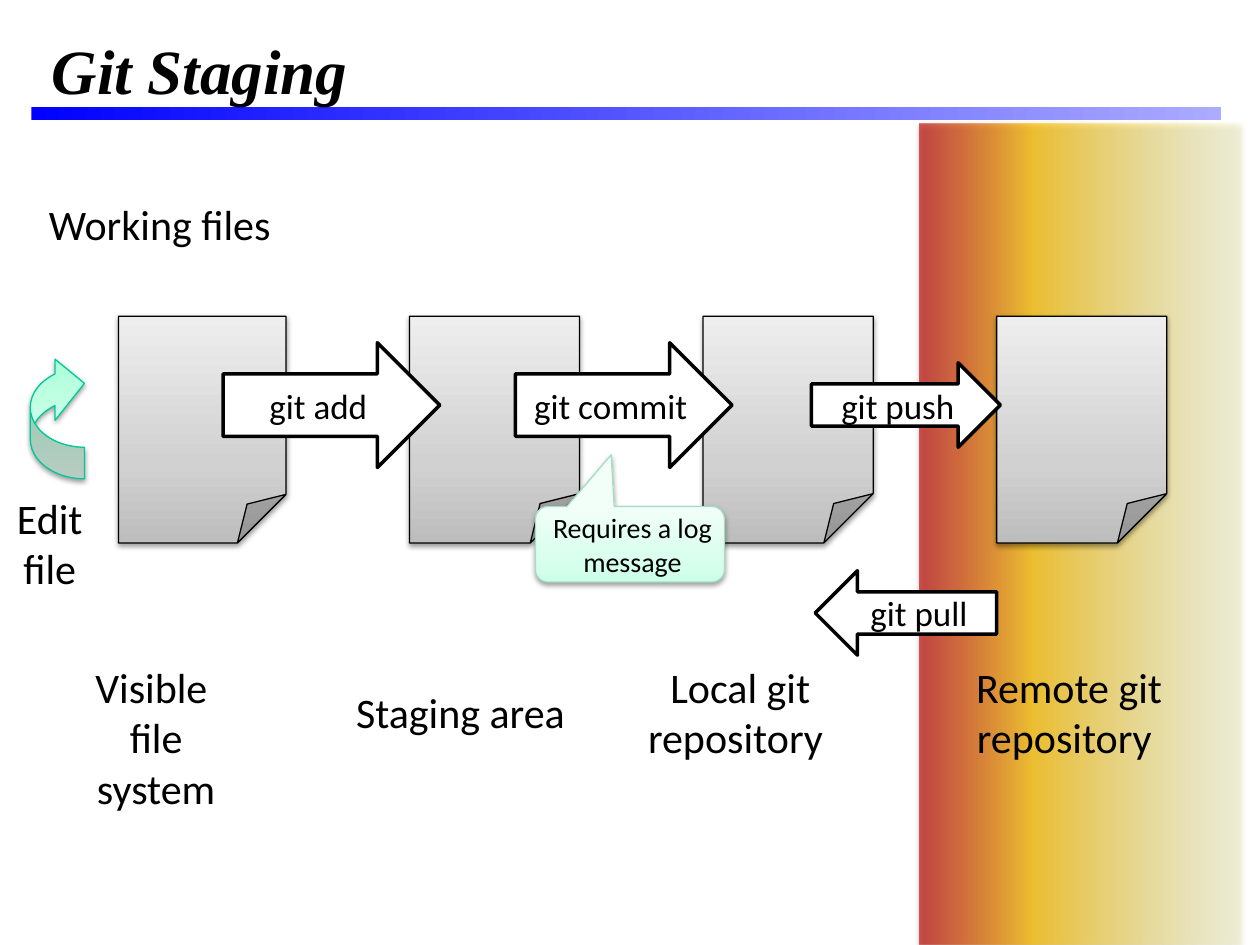
import pptx
import pptx.dml.color
import pptx.enum.shapes
import pptx.enum.text
import pptx.oxml
import pptx.oxml.ns
import pptx.util

Inches = pptx.util.Inches
KIND = pptx.enum.shapes.MSO_SHAPE
ALIGN = pptx.enum.text.PP_ALIGN
MIDDLE = pptx.enum.text.MSO_ANCHOR.MIDDLE
GROW = pptx.enum.text.MSO_AUTO_SIZE.SHAPE_TO_FIT_TEXT
SPACE = pptx.oxml.ns.nsdecls("a")
GRAY = [(0, "BDBDBD"), (35, "D1D1D1"), (100, "EEEEEE")]
MINT = [(0, "A5FFD6"), (35, "BFFFE2"), (100, "E7FFF3")]
PALE = [(0, "CCFFE8"), (35, "DAFFEE"), (100, "F1FFF8")]
TIGHT = {"margin_left": 0, "margin_right": 0, "margin_top": 0, "margin_bottom": 0,
         "vertical_anchor": MIDDLE, "word_wrap": True}


def tint(target, color):
    """Give a fill or font a solid colour from a hex string."""
    target.rgb = pptx.dml.color.RGBColor.from_string(color)


def apply(target, values):
    """Set each attribute named in a dict of format values."""
    for name, value in values.items():
        setattr(target, name, value)


def inside(box, x, y, w, h):
    """Return a box whose place is relative to the corner of another."""
    return box[0] + x, box[1] + y, w, h


def bend(shape, values):
    """Set the adjust values of a preset shape."""
    names = ["adj"] if len(values) == 1 else [f"adj{i + 1}" for i in range(len(values))]
    guides = "".join(f'<a:gd name="{name}" fmla="val {round(value * 100000)}"/>'
                     for name, value in zip(names, values))
    preset = shape._element.spPr.find(pptx.oxml.ns.qn("a:prstGeom"))
    for child in list(preset):
        preset.remove(child)
    preset.append(pptx.oxml.parse_xml(f"<a:avLst {SPACE}>{guides}</a:avLst>"))


def blend(shape, stops, angle):
    """Fill a shape with a linear gradient of (place, colour, opacity) stops."""
    marks = ""
    for place, color, *alpha in stops:
        clear = "".join(f'<a:alpha val="{a * 1000}"/>' for a in alpha)
        marks += f'<a:gs pos="{place * 1000}"><a:srgbClr val="{color}">{clear}</a:srgbClr></a:gs>'
    grad = pptx.oxml.parse_xml(
        f'<a:gradFill {SPACE} rotWithShape="1"><a:gsLst>{marks}</a:gsLst>'
        f'<a:lin ang="{angle * 60000}" scaled="0"/></a:gradFill>')
    shape._element.spPr.find(pptx.oxml.ns.qn("a:prstGeom")).addnext(grad)


def shade(shape):
    """Drop a soft shadow below a shape."""
    effect = shape._element.spPr.find(pptx.oxml.ns.qn("a:effectLst"))
    effect.append(pptx.oxml.parse_xml(
        f'<a:outerShdw {SPACE} blurRad="39400" dist="20300" dir="5400000" rotWithShape="0">'
        '<a:srgbClr val="000000"><a:alpha val="38000"/></a:srgbClr></a:outerShdw>'))


def form(slide, kind, box, fill, line=None, width=0.75, angle=270, adjust=(), shadow=True):
    """Add a preset shape with a solid or gradient fill."""
    shape = slide.shapes.add_shape(kind, *map(Inches, box))
    if adjust:
        bend(shape, adjust)
    if isinstance(fill, str):
        shape.fill.solid()
        tint(shape.fill.fore_color, fill)
    else:
        blend(shape, fill, angle)
    if line:
        tint(shape.line.color, line)
        shape.line.width = pptx.util.Pt(width)
    else:
        shape.line.fill.background()
    shape.shadow.inherit = False
    if shadow:
        shade(shape)
    return shape


def write(shape, text, frame, size, align=ALIGN.CENTER, face="Calibri", indent=0.04, **style):
    """Put one formatted paragraph in a shape."""
    body = shape.text_frame
    apply(body, frame)
    para = body.paragraphs[0]
    para.text = text
    para.alignment = align
    props = para._p.get_or_add_pPr()
    props.set("marL", str(Inches(indent)))
    props.set("indent", "0")
    for run in para.runs:
        apply(run.font, {"name": face, "size": pptx.util.Pt(size), **style})
        tint(run.font.color, "000000")


def label(slide, box, text, align=ALIGN.CENTER, **frame):
    """Add a caption in a text box."""
    shape = slide.shapes.add_textbox(*map(Inches, box))
    write(shape, text, {"word_wrap": True, "auto_size": GROW, **frame}, 24, align)


def head(slide, box):
    """Place the title above its blue rule."""
    rule = form(slide, KIND.RECTANGLE, inside(box, 0, 0.8, 9.44, 0.1),
                [(0, "0000FF"), (100, "ABABFF")], angle=0, shadow=False)
    title = slide.shapes.title
    rule._element.addnext(title._element)
    left, top, width, height = map(Inches, inside(box, 0.06, 0, 9.38, 1))
    apply(title, {"left": left, "top": top, "width": width, "height": height})
    write(title, "Git Staging", {"vertical_anchor": MIDDLE}, 36, ALIGN.LEFT,
          "Times New Roman", 0, bold=True, italic=True)


def remote(slide, box):
    """Place the coloured band behind the remote side."""
    form(slide, KIND.RECTANGLE, box,
         [(0, "C00000", 64), (35, "FFC000", 73), (99, "FFFFA8", 26)], angle=0)


def edit(slide, box):
    """Place the looping arrow and its caption."""
    loop = form(slide, KIND.CURVED_LEFT_ARROW, inside(box, 0.33, 0, 0.43, 1), MINT,
                "00C896", adjust=(0.583, 1.128, 0.543))
    loop.rotation = 180
    label(slide, inside(box, 0, 1.06, 0.93, 0.91), "Edit file")


def flow(slide, box):
    """Place the four files, the command arrows and the note."""
    files = [(0, 1.33)] + [(2.31 + 2.33 * i, 1.35) for i in range(3)]
    for x, w in files:
        form(slide, KIND.FOLDED_CORNER, inside(box, x, 0, w, 1.8), GRAY, "000000", adjust=(0.29,))
    right, left = KIND.RIGHT_ARROW, KIND.LEFT_ARROW
    steps = [
        ("git add", right, (0.83, 0.21, 1.72, 0.99)),
        ("git commit", right, (3.15, 0.21, 1.72, 0.99)),
        ("git push", right, (5.5, 0.37, 1.5, 0.67)),
        ("git pull", left, (5.53, 2.02, 1.44, 0.67)),
    ]
    for text, kind, place in steps:
        arrow = form(slide, kind, inside(box, *place), "FFFFFF", "000000", 2, shadow=False)
        write(arrow, text, TIGHT, 20)
    note = form(slide, KIND.ROUNDED_RECTANGULAR_CALLOUT, inside(box, 3.31, 1.51, 1.5, 0.6),
                PALE, "A5DEC6", adjust=(-0.099, -1.184, 0.167))
    write(note, "Requires a log message", TIGHT, 16)


def places(slide, box):
    """Place the captions that name each place."""
    label(slide, inside(box, 0, 0, 1.72, 0.91), "Visible \vfile system", margin_right=Inches(0.2))
    label(slide, inside(box, 2.16, 0.2, 2.13, 0.5), "Staging area")
    label(slide, inside(box, 4.38, 0, 2.13, 0.91), "Local git repository ")
    label(slide, inside(box, 6.99, 0, 2.13, 0.91), "Remote git repository ")


def main():
    """Build and save the slide."""
    deck = pptx.Presentation()
    apply(deck, {"slide_width": Inches(10), "slide_height": Inches(7.5)})
    slide = deck.slides.add_slide(deck.slide_layouts[5])
    head(slide, (0.25, 0.05, 9.44, 1))
    remote(slide, (7.3, 0.98, 2.55, 6.52))
    edit(slide, (-0.09, 2.8, 0.93, 1.97))
    label(slide, (0.25, 1.53, 2.12, 0.5), "Working files", ALIGN.LEFT, word_wrap=False)
    flow(slide, (0.94, 2.51, 8.32, 2.69))
    places(slide, (0.41, 5.2, 9.12, 0.91))
    deck.save("out.pptx")


if __name__ == "__main__":
    main()
